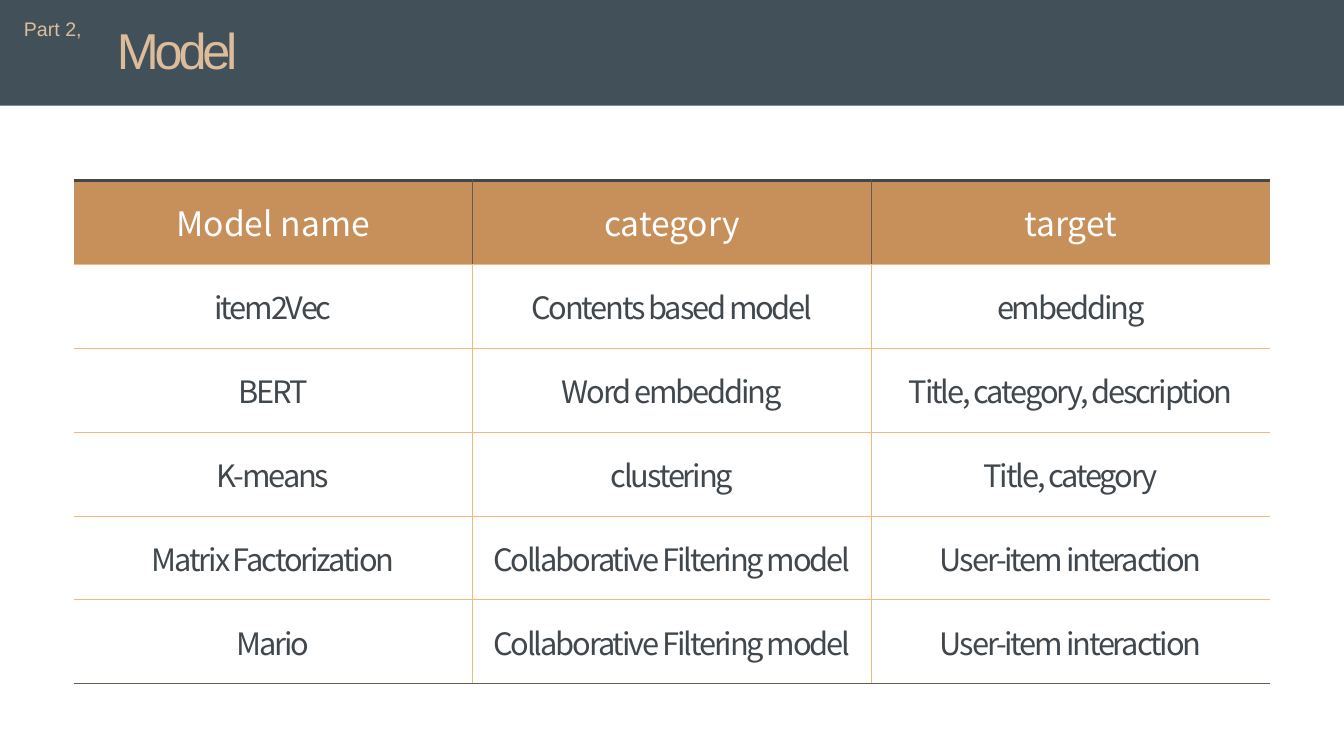
from lxml import etree
from pptx import Presentation
from pptx import util as u
from pptx.dml.color import RGBColor
from pptx.enum import shapes, text
from pptx.oxml import ns

SLATE = RGBColor(0x42, 0x50, 0x59)
SAND = RGBColor(0xDD, 0xBC, 0x9C)
COPPER = RGBColor(0xC7, 0x90, 0x5A)
APRICOT = RGBColor(0xF6, 0xB8, 0x79)
UMBER = RGBColor(0x64, 0x5B, 0x51)
INK = RGBColor(0x40, 0x47, 0x4D)
WHITE = RGBColor(0xFF, 0xFF, 0xFF)

WIDTH, HEIGHT = 960, 540
TABLE_TOP, COLUMN_WIDTH, ROW_HEIGHT = 128.9, 284.9, 59.9

MODELS = [
    ("Model name", "category", "target"),
    ("item2Vec", "Contents based model", "embedding"),
    ("BERT", "Word embedding", "Title, category, description"),
    ("K-means", "clustering", "Title, category"),
    ("Matrix Factorization", "Collaborative Filtering model", "User-item interaction"),
    ("Mario", "Collaborative Filtering model", "User-item interaction"),
]


class ModelSlide:
    heading_font = "Arial"
    table_font = "Noto Sans CJK KR"

    def __init__(self, deck):
        self.slide = deck.slides.add_slide(deck.slide_layouts[6])

    def wording(self, paragraph, words, font, size, color, spacing=0):
        run = paragraph.add_run()
        run.text = words
        if spacing:
            run._r.get_or_add_rPr().set("spc", str(int(spacing * 100)))
        paragraph.font.name = font
        paragraph.font.size = u.Pt(size)
        paragraph.font.color.rgb = color

    def band(self, left, top, width, height, color):
        band = self.slide.shapes.add_shape(
            shapes.MSO_SHAPE.RECTANGLE, u.Pt(left), u.Pt(top), u.Pt(width), u.Pt(height))
        band.shadow.inherit = False
        band.fill.solid()
        band.fill.fore_color.rgb = color
        band.line.fill.background()

    def heading(self, words, left, top, width, height, size, spacing=0, wrap=True):
        box = self.slide.shapes.add_textbox(u.Pt(left), u.Pt(top), u.Pt(width), u.Pt(height))
        frame = box.text_frame
        frame.word_wrap = wrap
        frame.auto_size = text.MSO_AUTO_SIZE.SHAPE_TO_FIT_TEXT
        self.wording(frame.paragraphs[0], words, self.heading_font, size, SAND, spacing)

    def borders(self, cell, edges):
        properties = cell._tc.get_or_add_tcPr()
        for index, (side, edge) in enumerate(zip("LRTB", edges)):
            line = etree.Element(ns.qn(f"a:ln{side}"))
            if edge:
                color, weight = edge
                line.set("w", str(u.Pt(weight)))
                fill = etree.SubElement(line, ns.qn("a:solidFill"))
                etree.SubElement(fill, ns.qn("a:srgbClr")).set("val", str(color))
            else:
                etree.SubElement(line, ns.qn("a:noFill"))
            properties.insert(index, line)

    def table(self, rows, top, column_width, row_height):
        row_count, column_count = len(rows), len(rows[0])
        width = column_width * column_count
        table = self.slide.shapes.add_table(
            row_count, column_count, u.Pt((WIDTH - width) / 2), u.Pt(top),
            u.Pt(width), u.Pt(row_height * row_count)).table
        for column in table.columns:
            column.width = u.Pt(column_width)
        for r, row in enumerate(rows):
            table.rows[r].height = u.Pt(row_height)
            header, last = r == 0, r == row_count - 1
            divider = (UMBER if header else APRICOT, 0.5)
            above = (INK, 2.25) if header else (APRICOT, 0.5)
            below = (UMBER, 1) if last else (APRICOT, 0.5)
            for c, words in enumerate(row):
                cell = table.cell(r, c)
                cell.vertical_anchor = text.MSO_ANCHOR.MIDDLE
                cell.fill.solid()
                cell.fill.fore_color.rgb = COPPER if header else WHITE
                self.borders(cell, (divider if c else None,
                                    divider if c < column_count - 1 else None, above, below))
                paragraph = cell.text_frame.paragraphs[0]
                paragraph.alignment = text.PP_ALIGN.CENTER
                style = (24, WHITE) if header else (22, INK, -1.5)
                self.wording(paragraph, words, self.table_font, *style)


def main():
    deck = Presentation()
    deck.slide_width, deck.slide_height = u.Pt(WIDTH), u.Pt(HEIGHT)
    slide = ModelSlide(deck)
    slide.band(0, 0, WIDTH, 75.5, SLATE)
    slide.heading("Model", 76.5, 10, 324, 51, 36, spacing=-3)
    slide.heading("Part 2,", 10, 8.6, 56, 24.5, 14, wrap=False)
    slide.table(MODELS, TABLE_TOP, COLUMN_WIDTH, ROW_HEIGHT)
    deck.save("out.pptx")


if __name__ == "__main__":
    main()
